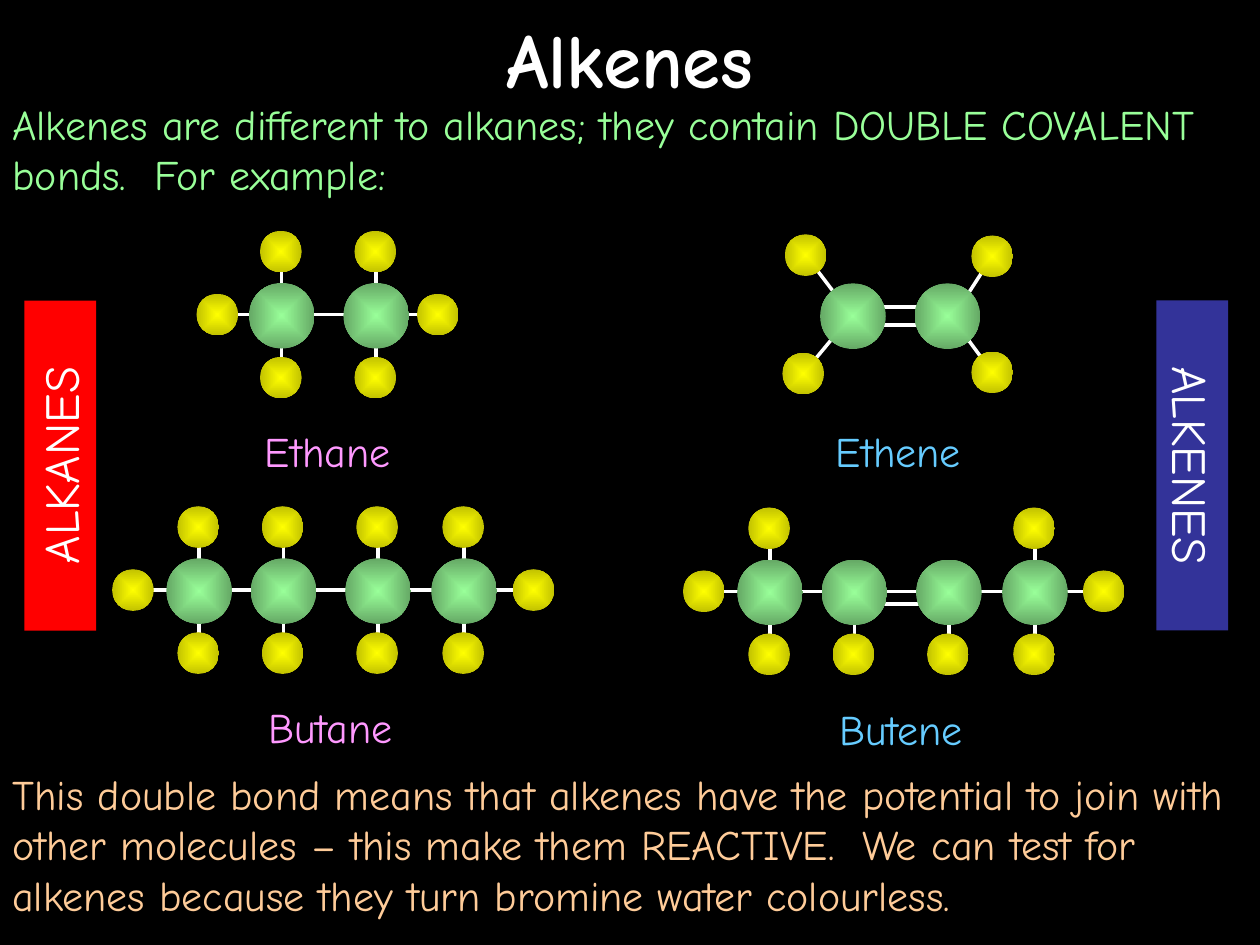
from lxml import etree
from pptx import Presentation
from pptx.dml.color import RGBColor
from pptx.enum import shapes as es, text as et
from pptx.oxml import ns
from pptx.util import Pt

BLACK = RGBColor(0x00, 0x00, 0x00)
WHITE = RGBColor(0xFF, 0xFF, 0xFF)
RED = RGBColor(0xFF, 0x00, 0x00)
NAVY = RGBColor(0x33, 0x33, 0x99)
MINT = RGBColor(0x99, 0xFF, 0x99)
MINT_EDGE = RGBColor(0x65, 0xA8, 0x65)
YELLOW = RGBColor(0xFF, 0xFF, 0x00)
YELLOW_EDGE = RGBColor(0xC2, 0xC2, 0x00)
PINK = RGBColor(0xFF, 0x99, 0xFF)
SKY = RGBColor(0x66, 0xCC, 0xFF)
PEACH = RGBColor(0xFF, 0xCC, 0x99)

FONT = "Comic Neue"
CARBON = (37.5, MINT, MINT_EDGE)
HYDROGEN = (23.8, YELLOW, YELLOW_EDGE)
REACH = 36


def write(sp, words, size=24, colour=WHITE, bold=False, centre=True,
          anchor=et.MSO_ANCHOR.TOP, grow=True):
    tf = sp.text_frame
    tf.word_wrap = True
    tf.vertical_anchor = anchor
    if grow:
        tf.auto_size = et.MSO_AUTO_SIZE.SHAPE_TO_FIT_TEXT
    p = tf.paragraphs[0]
    p.alignment = et.PP_ALIGN.CENTER if centre else et.PP_ALIGN.LEFT
    r = p.add_run()
    r.text = words
    r.font.name = FONT
    r.font.size = Pt(size)
    r.font.bold = bold
    r.font.color.rgb = colour


def text_box(parent, x, y, w, h, words, **style):
    sp = parent.shapes.add_textbox(Pt(x), Pt(y), Pt(w), Pt(h))
    write(sp, words, **style)


def bond(g, x1, y1, x2, y2):
    c = g.shapes.add_connector(es.MSO_CONNECTOR.STRAIGHT,
                               Pt(x1), Pt(y1), Pt(x2), Pt(y2))
    c.line.color.rgb = WHITE
    c.line.width = Pt(2)
    etree.SubElement(c._element.spPr, ns.qn("a:effectLst"))


def atom(g, kind, x, y):
    size, core, edge = kind
    sp = g.shapes.add_shape(es.MSO_SHAPE.OVAL, Pt(x - size / 2),
                            Pt(y - size / 2), Pt(size), Pt(size))
    sp.shadow.inherit = False
    sp.line.fill.background()
    sp.fill.gradient()
    for stop, colour in zip(sp.fill.gradient_stops, (core, edge)):
        stop.color.rgb = colour
    grad = sp._element.spPr.find(ns.qn("a:gradFill"))
    grad.remove(grad.find(ns.qn("a:lin")))
    shade = etree.SubElement(grad, ns.qn("a:path"), {"path": "rect"})
    etree.SubElement(shade, ns.qn("a:fillToRect"),
                     {side: "50000" for side in "ltrb"})


def molecule(s, name, colour, label_x, label_y, bonds, carbons, hydrogens):
    g = s.shapes.add_group_shape()
    for ends in bonds:
        bond(g, *ends)
    for kind, centres in ((CARBON, carbons), (HYDROGEN, hydrogens)):
        for x, y in centres:
            atom(g, kind, x, y)
    text_box(g, label_x, label_y, 113.8, 36, name, colour=colour)


def chain(s, name, colour, label_x, label_y, xs, y, left, right, double=None):
    bonds = [(left, y, right, y)]
    hydrogens = [(left, y), (right, y)]
    if double is not None:
        bonds.append((xs[double] + 11, y + 7.2, xs[double + 1] - 3, y + 7.2))
    for i, x in enumerate(xs):
        bare_top = double is not None and i in (double, double + 1)
        top = y if bare_top else y - REACH
        bonds.append((x, top, x, y + REACH))
        hydrogens.append((x - 0.5, y + REACH))
        if not bare_top:
            hydrogens.append((x - 0.5, top))
    carbons = [(x, y + 0.6) for x in xs]
    molecule(s, name, colour, label_x, label_y, bonds, carbons, hydrogens)


def ethene(s):
    hydrogens = [(460.4, 145.8), (567, 146.5), (459, 213.5), (567, 212.8)]
    inner_ends = [(489.6, 184.3), (548.6, 175), (483.8, 183.6), (545, 182.9)]
    bonds = [(*h, *end) for h, end in zip(hydrogens, inner_ends)]
    bonds += [(487.4, y, 541.4, y) for y in (175.3, 185.8)]
    molecule(s, "Ethene", SKY, 456.5, 239.8, bonds,
             [(487.4, 180.7), (541.4, 180.7)], hydrogens)


def banner(s, x, words, fill, rotation):
    sp = s.shapes.add_shape(es.MSO_SHAPE.RECTANGLE, Pt(x), Pt(245.5),
                            Pt(188.6), Pt(41))
    sp.rotation = rotation
    sp.shadow.inherit = False
    sp.fill.solid()
    sp.fill.fore_color.rgb = fill
    sp.line.fill.background()
    write(sp, words, size=28)


def main():
    prs = Presentation()
    prs.slide_width, prs.slide_height = Pt(720), Pt(540)
    s = prs.slides.add_slide(prs.slide_layouts[6])
    s.background.fill.solid()
    s.background.fill.fore_color.rgb = BLACK

    text_box(s, 0, 0, 720, 65.5, "Alkenes", size=44, bold=True,
             anchor=et.MSO_ANCHOR.MIDDLE, grow=False)
    text_box(s, 0, 52.6, 720, 64.8,
             "Alkenes are different to alkanes; they contain DOUBLE COVALENT "
             "bonds.  For example:", colour=MINT, centre=False)

    chain(s, "Ethane", PINK, 130.3, 239.8, [161, 215], 179.8, 124.2, 250.2)
    ethene(s)
    chain(s, "Butane", PINK, 131.8, 397.4, [113.8, 162, 216, 265.2], 337.2,
          76, 304.9)
    chain(s, "Butene", SKY, 457.9, 398.2, [440, 488.2, 542.2, 591.4], 337.9,
          402.2, 630.7, double=1)

    text_box(s, 0, 435.6, 720, 93.6,
             "This double bond means that alkenes have the potential to join "
             "with other molecules – this make them REACTIVE.  We can test "
             "for alkenes because they turn bromine water colourless.",
             colour=PEACH, centre=False)
    banner(s, -59.8, "ALKANES", RED, 270)
    banner(s, 587, "ALKENES", NAVY, 90)
    prs.save("out.pptx")


if __name__ == "__main__":
    main()
